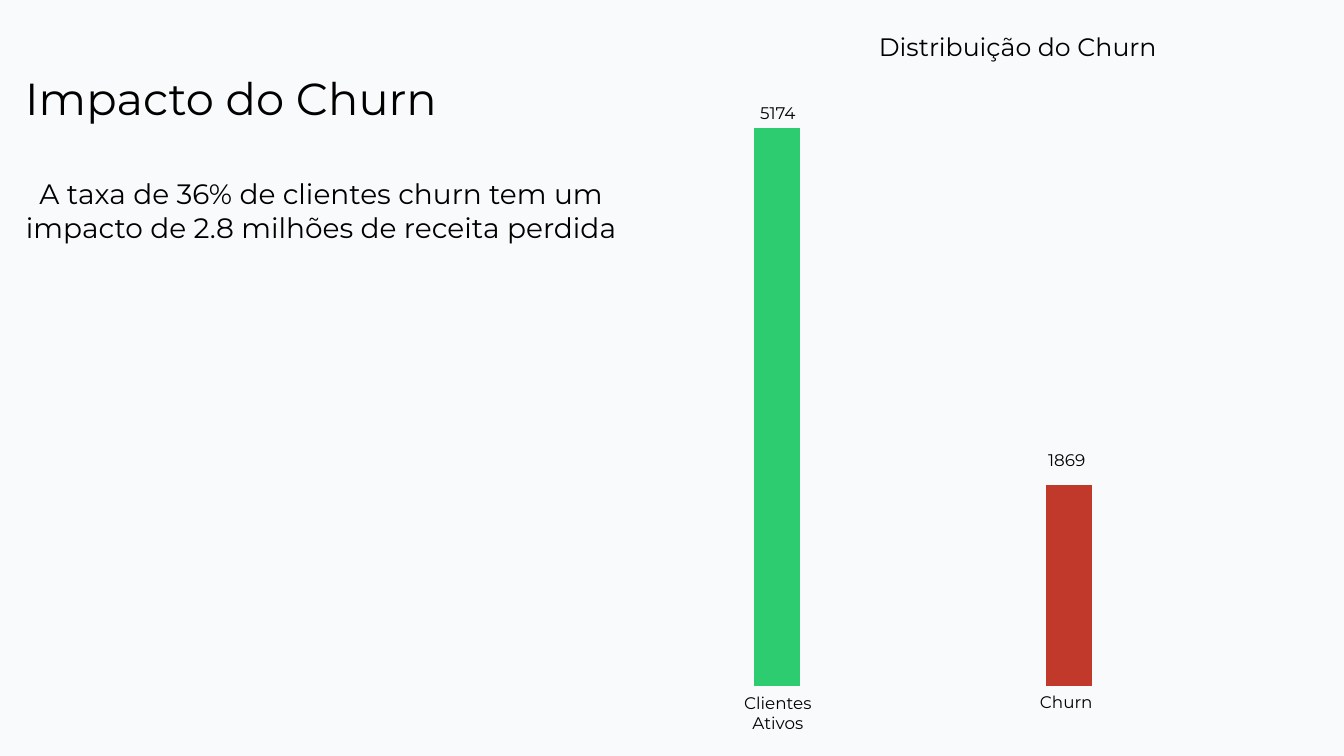
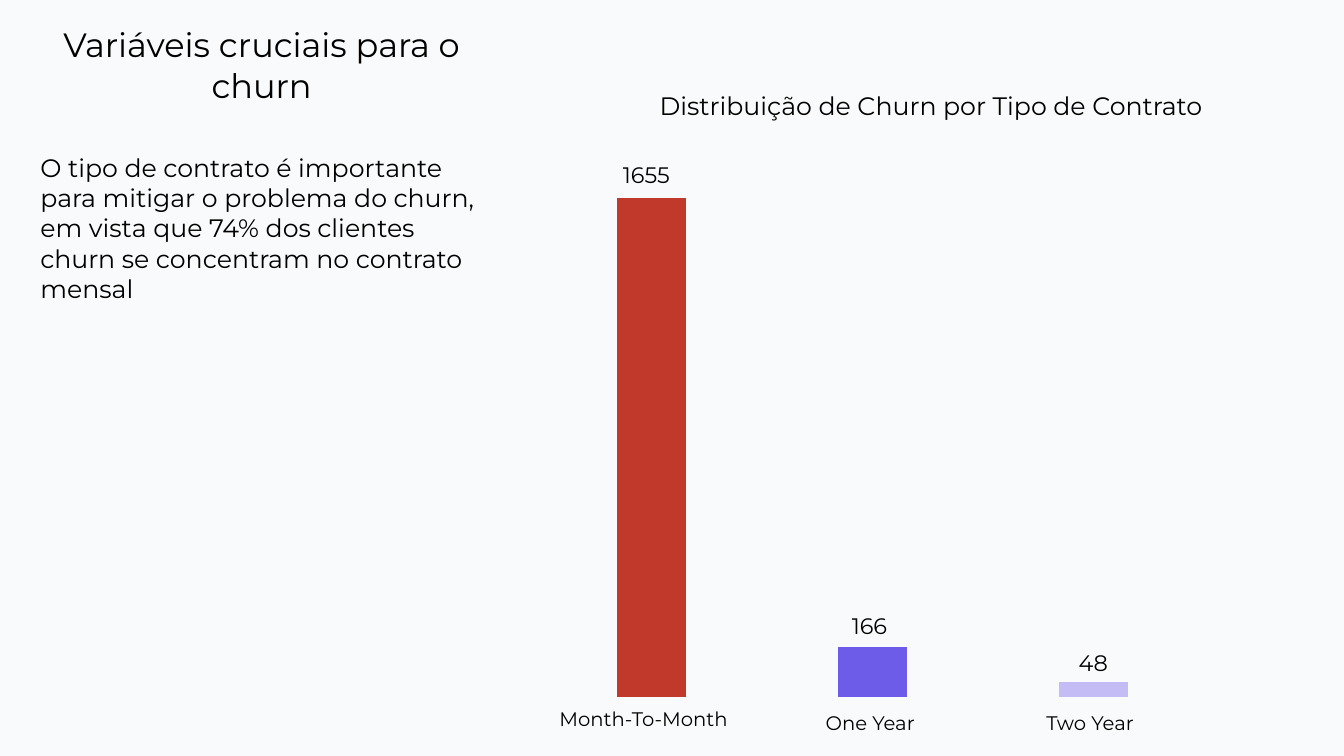
from dataclasses import dataclass
from typing import Optional

from lxml import etree
from pptx import Presentation
from pptx.chart.data import CategoryChartData
from pptx.dml.color import RGBColor
from pptx.enum.chart import XL_CHART_TYPE
from pptx.enum.text import MSO_ANCHOR, MSO_AUTO_SIZE, PP_ALIGN
from pptx.oxml.ns import qn
from pptx.util import Pt

COLUMN = XL_CHART_TYPE.COLUMN_CLUSTERED
LEFT, CENTER = PP_ALIGN.LEFT, PP_ALIGN.CENTER
TOP = MSO_ANCHOR.TOP
NO_AUTOFIT = MSO_AUTO_SIZE.NONE
EMU_PER_PX = 9144
PAGE_WIDTH, PAGE_HEIGHT = 1333, 750
TITLE_AND_CONTENT = 1


@dataclass(frozen=True)
class Theme:
    font: str = "Montserrat"
    chart_font: str = "Lato"
    background: str = "F9FAFB"
    text: str = "000000"
    green: str = "2ECC71"
    red: str = "C0392B"
    purple: str = "6C5CE7"
    lilac: str = "C4BDF5"
    headline: int = 32
    subheadline: int = 24
    lead: int = 20
    body: int = 18
    value: int = 16
    category: int = 14
    small: int = 12
    chart_text: int = 10


THEME = Theme()


@dataclass(frozen=True)
class Box:
    left: int
    top: int
    width: int
    height: int

    def emu(self) -> tuple[int, ...]:
        return tuple(px(n) for n in (self.left, self.top, self.width, self.height))


@dataclass(frozen=True)
class Text:
    words: str
    box: Box
    size: int
    align: PP_ALIGN = CENTER


@dataclass(frozen=True)
class Bar:
    value: Optional[int]
    color: str


@dataclass(frozen=True)
class Columns:
    box: Box
    bars: tuple[Bar, ...]
    axis_maximum: int
    plot_area: tuple[float, float, float, float]


@dataclass(frozen=True)
class Page:
    title: Text
    body: Text
    columns: Columns
    labels: tuple[Text, ...]


PAGES = (
    Page(
        title=Text("Impacto do Churn", Box(15, 65, 537, 64), THEME.headline, LEFT),
        body=Text(
            "A taxa de 36% de clientes churn tem um impacto de 2.8 milhões de receita perdida",
            Box(15, 170, 607, 111), THEME.lead,
        ),
        columns=Columns(
            Box(698, 32, 580, 649),
            (Bar(100, THEME.green), Bar(None, THEME.green),
             Bar(36, THEME.red), Bar(None, THEME.green)),
            116, (0, 0.01, 1, 0.99),
        ),
        labels=(
            Text("Distribuição do Churn", Box(741, 26, 537, 40), THEME.body),
            Text("5174", Box(735, 97, 73, 30), THEME.small),
            Text("1869", Box(1021, 441, 74, 30), THEME.small),
            Text("Clientes Ativos", Box(715, 682, 113, 50), THEME.small),
            Text("Churn", Box(1012, 681, 91, 30), THEME.small),
        ),
    ),
    Page(
        title=Text("Variáveis cruciais para o churn", Box(10, 19, 499, 91), THEME.subheadline),
        body=Text(
            "O tipo de contrato é importante para mitigar o problema do churn, "
            "em vista que 74% dos clientes churn se concentram no contrato mensal",
            Box(30, 146, 467, 162), THEME.body, LEFT,
        ),
        columns=Columns(
            Box(537, 146, 664, 546),
            (Bar(100, THEME.red), Bar(10, THEME.purple), Bar(3, THEME.lilac)),
            109, (0, 0.01, 0.99, 0.99),
        ),
        labels=(
            Text("Distribuição de Churn por Tipo de Contrato", Box(631, 85, 585, 40), THEME.body),
            Text("1655", Box(608, 155, 68, 37), THEME.value, LEFT),
            Text("166", Box(835, 602, 62, 37), THEME.value, LEFT),
            Text("48", Box(1060, 639, 50, 37), THEME.value, LEFT),
            Text("Month-To-Month", Box(545, 696, 196, 34), THEME.category, LEFT),
            Text("One Year", Box(809, 700, 114, 34), THEME.category, LEFT),
            Text("Two Year", Box(1028, 700, 114, 34), THEME.category, LEFT),
        ),
    ),
)


def px(length: int) -> int:
    return length * EMU_PER_PX


def rgb(color: str) -> RGBColor:
    return RGBColor.from_string(color)


def write_text(shape, text: Text) -> None:
    shape.left, shape.top, shape.width, shape.height = text.box.emu()
    frame = shape.text_frame
    frame.text = text.words
    frame.word_wrap = True
    frame.auto_size = NO_AUTOFIT
    frame.vertical_anchor = TOP
    para = frame.paragraphs[0]
    para.alignment = text.align
    para.line_spacing = 1.0
    para.space_before = Pt(0)
    for span in para.runs:
        span.font.name = THEME.font
        span.font.size = Pt(text.size)
        span.font.color.rgb = rgb(THEME.text)


def remove_bullet(shape) -> None:
    properties = shape.text_frame.paragraphs[0]._p.get_or_add_pPr()
    properties.set("marL", "0")
    properties.set("indent", "0")
    etree.SubElement(properties, qn("a:buNone"))


def place_plot_area(chart, plot_area: tuple[float, float, float, float]) -> None:
    area = chart._chartSpace.find(".//" + qn("c:plotArea"))
    for old_layout in area.findall(qn("c:layout")):
        area.remove(old_layout)
    layout = etree.Element(qn("c:layout"))
    area.insert(0, layout)
    manual = etree.SubElement(layout, qn("c:manualLayout"))
    settings = [("layoutTarget", "inner"), ("xMode", "edge"), ("yMode", "edge")]
    settings += zip("xywh", plot_area)
    for name, value in settings:
        etree.SubElement(manual, qn(f"c:{name}")).set("val", str(value))


def draw_columns(slide, columns: Columns) -> None:
    data = CategoryChartData()
    data.categories = [str(number) for number, _ in enumerate(columns.bars, 1)]
    data.add_series("Series 1", [bar.value for bar in columns.bars])
    chart = slide.shapes.add_chart(COLUMN, *columns.box.emu(), data).chart
    chart.has_legend = False
    chart.has_title = False
    chart.font.name = THEME.chart_font
    chart.font.size = Pt(THEME.chart_text)
    chart.font.color.rgb = rgb(THEME.text)
    for axis in (chart.category_axis, chart.value_axis):
        axis.has_major_gridlines = False
        axis.visible = False
    chart.value_axis.minimum_scale = 0
    chart.value_axis.maximum_scale = columns.axis_maximum
    plot = chart.plots[0]
    plot.vary_by_categories = False
    plot.gap_width = 219
    plot.overlap = -27
    for index, bar in enumerate(columns.bars):
        if bar.value is not None:
            fill = plot.series[0].points[index].format.fill
            fill.solid()
            fill.fore_color.rgb = rgb(bar.color)
    place_plot_area(chart, columns.plot_area)


def draw_page(deck, page: Page) -> None:
    slide = deck.slides.add_slide(deck.slide_layouts[TITLE_AND_CONTENT])
    write_text(slide.shapes.title, page.title)
    body = slide.placeholders[1]
    write_text(body, page.body)
    remove_bullet(body)
    draw_columns(slide, page.columns)
    for label in page.labels:
        write_text(slide.shapes.add_textbox(*label.box.emu()), label)


def main() -> None:
    deck = Presentation()
    deck.slide_width, deck.slide_height = px(PAGE_WIDTH), px(PAGE_HEIGHT)
    background = deck.slide_master.background.fill
    background.solid()
    background.fore_color.rgb = rgb(THEME.background)
    for page in PAGES:
        draw_page(deck, page)
    deck.save("out.pptx")


if __name__ == "__main__":
    main()
